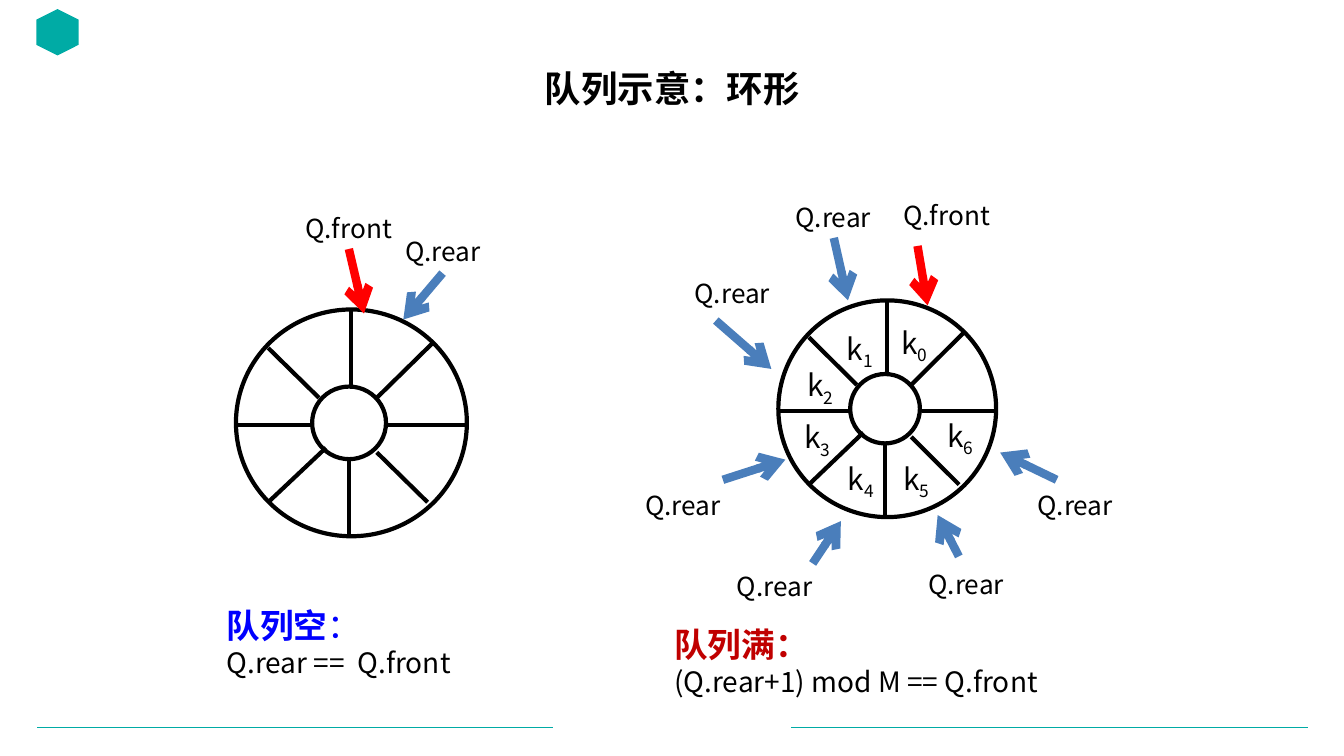
from dataclasses import dataclass

from lxml import etree
from pptx import Presentation
from pptx.dml.color import RGBColor
from pptx.enum.shapes import MSO_CONNECTOR, MSO_SHAPE
from pptx.enum.text import MSO_ANCHOR, PP_ALIGN
from pptx.oxml.ns import qn
from pptx.util import Pt

STRAIGHT = MSO_CONNECTOR.STRAIGHT
OVAL, HEXAGON = MSO_SHAPE.OVAL, MSO_SHAPE.HEXAGON
LEFT, CENTER = PP_ALIGN.LEFT, PP_ALIGN.CENTER
TOP, MIDDLE = MSO_ANCHOR.TOP, MSO_ANCHOR.MIDDLE
PX = 9144


@dataclass(frozen=True)
class Theme:
    font: str = "Noto Sans CJK SC"
    ink: str = "000000"
    teal: str = "00ABA5"
    front: str = "FF0000"
    rear: str = "4A7EBB"
    empty: str = "0000FF"
    full: str = "C00000"
    title: float = 26
    heading: float = 24
    key: float = 21.3
    body: float = 20
    label: float = 18.7


T = Theme()

SPOKES = [
    (50, 0, 50, 34), (49, 66, 49, 99), (0, 51, 34, 51), (66, 51, 99, 51),
    (85, 15, 61, 39), (39, 61, 14, 85), (14, 17, 36, 39), (61, 63, 83, 85),
]


def px(*values):
    return [round(v * PX) for v in values]


def style(font, size, color, bold):
    font.name, font.size, font.bold = T.font, Pt(size), bold
    font.color.rgb = RGBColor.from_string(color)


def add_text(slide, box, paragraphs, align=LEFT, anchor=TOP):
    tf = slide.shapes.add_textbox(*px(*box)).text_frame
    tf.word_wrap = True
    tf.vertical_anchor = anchor
    for i, (runs, size, color, bold) in enumerate(paragraphs):
        p = tf.paragraphs[0] if i == 0 else tf.add_paragraph()
        p.alignment = align
        style(p.font, size, color, bold)
        for text in runs:
            r = p.add_run()
            r.text = text
            rPr = r._r.get_or_add_rPr()
            etree.SubElement(rPr, qn("a:ea"), typeface=T.font)
    return tf


def add_line(slide, x1, y1, x2, y2, color, width, arrow=False):
    c = slide.shapes.add_connector(STRAIGHT, *px(x1, y1, x2, y2))
    c.line.color.rgb = RGBColor.from_string(color)
    c.line.width = Pt(width)
    if arrow:
        etree.SubElement(c.line._get_or_add_ln(), qn("a:tailEnd"), type="arrow")
    etree.SubElement(c._element.spPr, qn("a:effectLst"))


def add_circle(slide, box):
    sp = slide.shapes.add_shape(OVAL, *px(*box))
    sp.shadow.inherit = False
    sp.fill.background()
    sp.line.color.rgb = RGBColor.from_string(T.ink)
    sp.line.width = Pt(3)


def draw_frame(slide, width):
    for left, right in ((37, 548), (785, width - 36)):
        add_line(slide, left, 722, right, 722, T.teal, 0.5)
    sp = slide.shapes.add_shape(HEXAGON, *px(34, 11, 46, 42))
    sp.rotation = 90
    sp.shadow.inherit = False
    sp.fill.solid()
    sp.fill.fore_color.rgb = RGBColor.from_string(T.teal)
    sp.line.fill.background()


def draw_title(slide, box, text):
    tf = add_text(slide, box, [([text], T.title, T.ink, True)], CENTER, MIDDLE)
    tf.paragraphs[0].line_spacing = 0.9


def draw_ring(slide, box):
    x, y, w, h = box
    add_circle(slide, box)
    add_circle(slide, (x + w * 0.33, y + h * 0.34, w * 0.32, h * 0.32))
    for x1, y1, x2, y2 in SPOKES:
        add_line(slide, x + w * x1 / 100, y + h * y1 / 100,
                 x + w * x2 / 100, y + h * y2 / 100, T.ink, 3)


def draw_pointers(slide, x, y, name, color, pointers):
    for left, top, x1, y1, x2, y2 in pointers:
        add_text(slide, (x + left, y + top, 110, 41),
                 [([name], T.label, T.ink, False)])
        add_line(slide, x + x1, y + y1, x + x2, y + y2, color, 6, True)


def draw_keys(slide, x, y, places):
    for i, (left, top) in enumerate(places):
        tf = add_text(slide, (x + left, y + top, 50, 46),
                      [(["k", str(i)], T.key, T.ink, False)])
        tf.paragraphs[0].runs[1]._r.rPr.set("baseline", "-25000")


def draw_empty_queue(slide, box):
    x, y, w, h = box
    draw_ring(slide, (x + 19, y + 101, 229, 225))
    draw_pointers(slide, x, y, "Q.rear", T.rear, [(177, 23, 224, 65, 185, 111)])
    draw_pointers(slide, x, y, "Q.front", T.front, [(78, 0, 131, 41, 146, 105)])
    tf = add_text(slide, (x, y + h - 84, w, 84), [
        (["队列空", "："], T.heading, T.empty, True),
        (["Q.rear ==  Q.front"], T.body, T.ink, False),
    ])
    tf.paragraphs[0].runs[1].font.bold = False


def draw_full_queue(slide, box):
    x, y, w, h = box
    draw_ring(slide, (x + 142, y + 105, 216, 215))
    draw_keys(slide, x, y, [(254, 124), (200, 130), (161, 166), (158, 218),
                            (201, 259), (256, 259), (300, 216)])
    draw_pointers(slide, x, y, "Q.rear", T.rear, [
        (149, 2, 197, 43, 211, 105),
        (49, 77, 80, 125, 135, 173),
        (0, 288, 87, 283, 149, 263),
        (91, 368, 176, 366, 204, 324),
        (281, 366, 321, 359, 300, 318),
        (389, 288, 418, 283, 362, 256),
    ])
    draw_pointers(slide, x, y, "Q.front", T.front, [(256, 0, 280, 51, 290, 110)])
    add_text(slide, (x + 29, y + h - 84, 437, 84), [
        (["队列满："], T.heading, T.full, True),
        (["(Q.rear+1) mod M == Q.front"], T.body, T.ink, False),
    ])


def main():
    prs = Presentation()
    prs.slide_width, prs.slide_height = px(1333, 750)
    slide = prs.slides.add_slide(prs.slide_layouts[6])
    draw_frame(slide, 1333)
    draw_title(slide, (92, 62, 1150, 57), "队列示意：环形")
    draw_empty_queue(slide, (215, 206, 292, 473))
    draw_full_queue(slide, (630, 193, w_full := 499, 505))
    prs.save("out.pptx")


if __name__ == "__main__":
    main()
